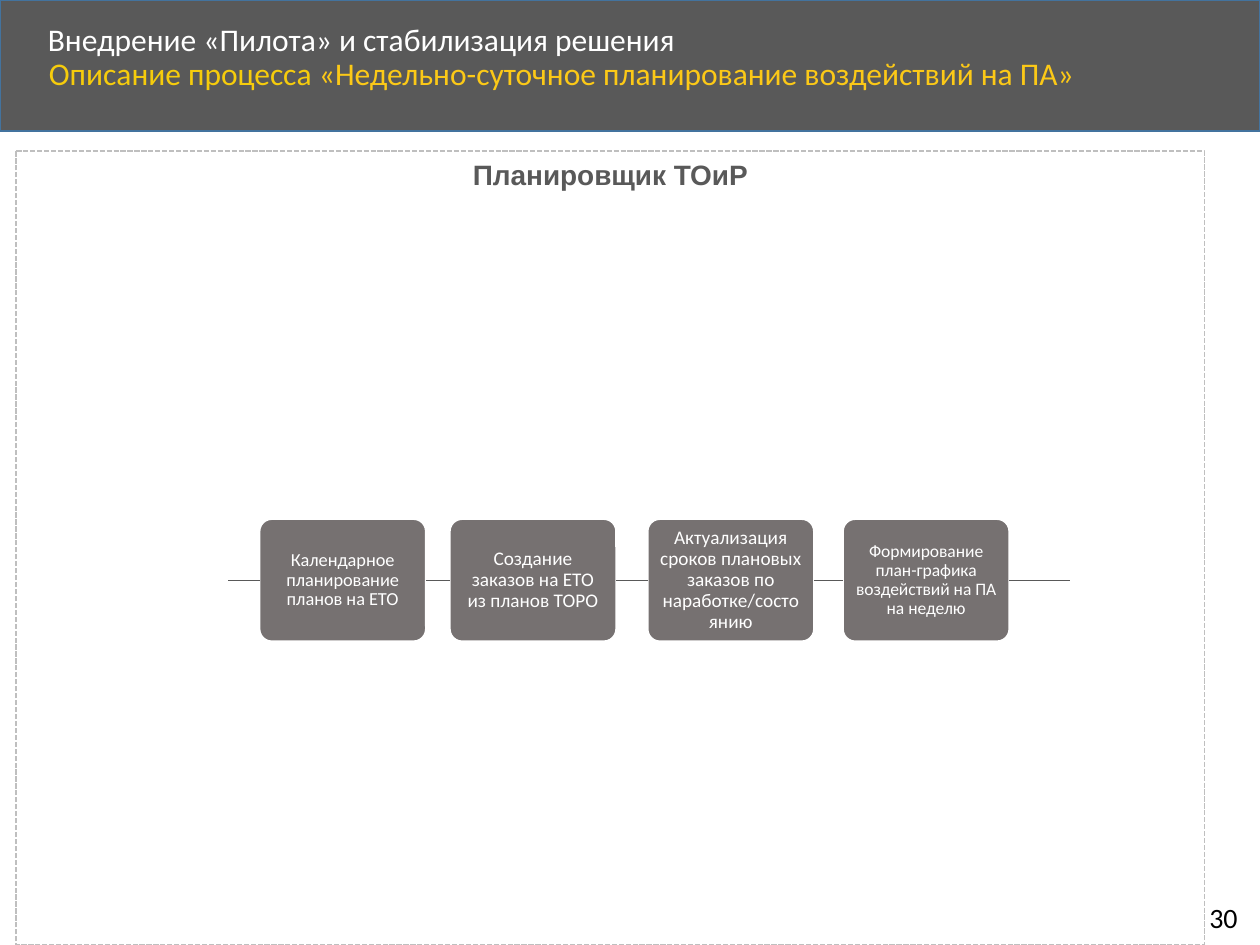
from lxml import etree
from pptx import Presentation
from pptx.dml.color import RGBColor
from pptx.enum.dml import MSO_LINE
from pptx.enum.shapes import MSO_CONNECTOR, MSO_SHAPE
from pptx.enum.text import MSO_ANCHOR, MSO_AUTO_SIZE, PP_ALIGN
from pptx.oxml.ns import qn
from pptx.util import Inches, Pt

TOP, MIDDLE = MSO_ANCHOR.TOP, MSO_ANCHOR.MIDDLE
LEFT, CENTER = PP_ALIGN.LEFT, PP_ALIGN.CENTER
RECT, ROUNDED = MSO_SHAPE.RECTANGLE, MSO_SHAPE.ROUNDED_RECTANGLE
SIDE_LEFT, SIDE_RIGHT = 1, 3

WHITE = RGBColor(0xFF, 0xFF, 0xFF)
BLACK = RGBColor(0x00, 0x00, 0x00)
DARK = RGBColor(0x59, 0x59, 0x59)
BLUE = RGBColor(0x43, 0x73, 0x9E)
GOLD = RGBColor(0xF6, 0xCC, 0x0C)
AMBER = RGBColor(0xFC, 0xC9, 0x17)
SILVER = RGBColor(0xBF, 0xBF, 0xBF)
STONE = RGBColor(0x76, 0x71, 0x71)

# Content
TITLE = "Внедрение «Пилота» и стабилизация решения"
SUBTITLE = [("Описание процесса ", GOLD),
            ("«Недельно-суточное планирование воздействий на ПА»", AMBER)]
ROLE = "Планировщик ТОиР"
PAGE = "30"
STEPS = [  # left edge, font size, text
    (2.06, 10.5, "Календарное планирование планов на ЕТО"),
    (3.57, 11, "Создание заказов на ЕТО из планов ТОРО"),
    (5.14, 11, "Актуализация сроков плановых заказов по наработке/состоянию"),
    (6.69, 10, "Формирование план-графика воздействий на ПА на неделю"),
]
STEP_TOP, STEP_W, STEP_H = 4.12, 1.32, 0.97
FLOW_START, FLOW_END = 1.81, 8.49


def set_text(sp, text, size=18, color=WHITE, font="Calibri", bold=False,
             align=LEFT, anchor=TOP, spacing=0.9, margins=(0.1, 0.05), wrap=True):
    """Write one paragraph; text is a string or a list of (text, colour) runs."""
    tf = sp.text_frame
    tf.auto_size = MSO_AUTO_SIZE.NONE
    tf.word_wrap = wrap
    tf.vertical_anchor = anchor
    tf.margin_left = tf.margin_right = Inches(margins[0])
    tf.margin_top = tf.margin_bottom = Inches(margins[1])
    p = tf.paragraphs[0]
    p.alignment = align
    p.line_spacing = spacing
    for part, part_color in [(text, color)] if isinstance(text, str) else text:
        r = p.add_run()
        r.text = part
        r.font.name, r.font.size, r.font.bold = font, Pt(size), bold
        r.font.color.rgb = part_color


def add_box(shapes, kind, box, fill, line, adj=None):
    sp = shapes.add_shape(kind, *map(Inches, box))
    sp.shadow.inherit = False
    if fill is None:
        sp.fill.background()
    else:
        sp.fill.solid()
        sp.fill.fore_color.rgb = fill
    sp.line.color.rgb = line
    sp.line.width = Pt(1)
    if adj is not None:
        sp.adjustments[0] = adj
    return sp


def add_link(shapes, x1, x2, before=None, after=None):
    y = Inches(STEP_TOP + STEP_H / 2)
    link = shapes.add_connector(MSO_CONNECTOR.STRAIGHT, Inches(x1), y, Inches(x2), y)
    if before is not None:
        link.begin_connect(before, SIDE_RIGHT)
    if after is not None:
        link.end_connect(after, SIDE_LEFT)
    link.line.color.rgb = DARK
    link.line.width = Pt(0.5)
    etree.SubElement(link._element.spPr, qn("a:effectLst"))


def main():
    prs = Presentation()
    prs.slide_width, prs.slide_height = Inches(10), Inches(7.5)
    slide = prs.slides.add_slide(prs.slide_layouts[5])
    shapes = slide.shapes

    # Header band, sent behind the title
    band = add_box(shapes, RECT, (0, 0, 10, 1.04), DARK, BLUE)
    shapes._spTree.insert(2, band._element)
    title = shapes.title
    title.left, title.top = Inches(0.28), Inches(0.14)
    title.width, title.height = Inches(8.07), Inches(0.38)
    set_text(title, TITLE, anchor=MIDDLE)
    subtitle = shapes.add_textbox(*map(Inches, (0.29, 0.41, 8.67, 0.45)))
    set_text(subtitle, SUBTITLE)

    # Page number
    number = shapes.add_textbox(*map(Inches, (9.5, 7.1, 0.46, 0.37)))
    set_text(number, PAGE, size=16, color=BLACK, spacing=1, wrap=False)

    # Role frame
    frame = add_box(shapes, ROUNDED, (0.13, 1.2, 9.43, 6.3), None, SILVER, adj=0)
    frame.line.dash_style = MSO_LINE.SQUARE_DOT
    set_text(frame, ROLE, size=16, color=DARK, font="Arial", bold=True,
             align=CENTER, spacing=1)

    # Process steps
    boxes = []
    for left, size, text in STEPS:
        sp = add_box(shapes, ROUNDED, (left, STEP_TOP, STEP_W, STEP_H),
                     STONE, WHITE, adj=0.1)
        set_text(sp, text, size=size, align=CENTER, anchor=MIDDLE,
                 margins=(0.06, 0.03))
        boxes.append(sp)

    # Links between the steps, with open ends on both sides
    starts = [FLOW_START] + [left + STEP_W for left, _, _ in STEPS]
    ends = [left for left, _, _ in STEPS] + [FLOW_END]
    for x1, x2, before, after in zip(starts, ends, [None] + boxes, boxes + [None]):
        add_link(shapes, x1, x2, before, after)

    prs.save("out.pptx")


if __name__ == "__main__":
    main()
